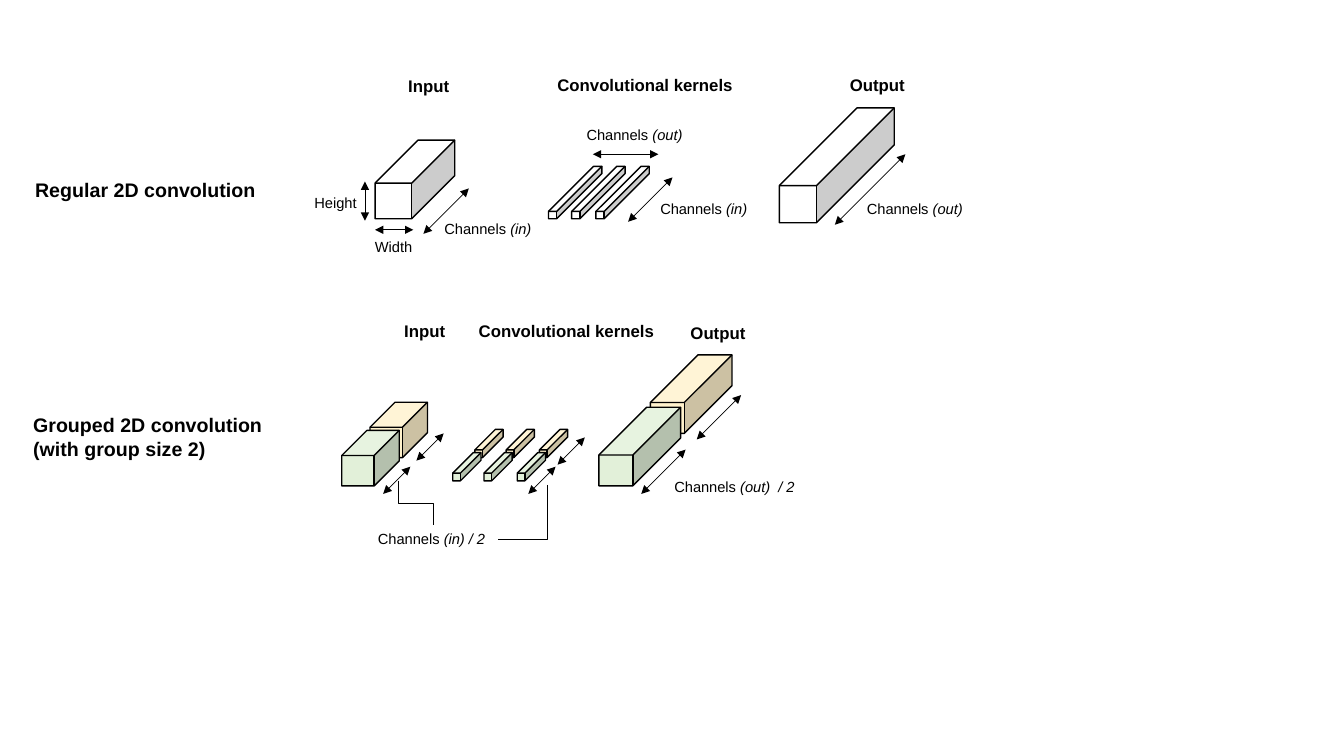
from pptx import Presentation
from pptx.dml.color import RGBColor
from pptx.enum.shapes import MSO_CONNECTOR as Connector, MSO_SHAPE as Shape
from pptx.enum.text import MSO_AUTO_SIZE as AutoSize
from pptx.oxml.ns import qn
from pptx.util import Inches, Pt
from lxml.etree import SubElement

WIDTH, HEIGHT = 13.33, 7.5
FONT = "Arial"
COLORS = {"ink": "000000", "plain": "FFFFFF", "back": "FFF2CC", "front": "E2F0D9"}

# Regular convolution: left, top, width, height, depth share
REGULAR_CUBES = [
    (3.72, 1.39, 0.79, 0.78, 0.547),
    *[(left, 1.65, 0.53, 0.52, 0.861) for left in (5.44, 5.67, 5.91)],
    (7.73, 1.07, 1.14, 1.14, 0.677),
]

# Grouped convolution: back cube as above, then the shift to its front cube
GROUPED_CUBES = [
    (3.67, 3.99, 0.57, 0.55, 0.452, -0.28, 0.28),
    *[(left, 4.26, 0.28, 0.28, 0.726, -0.22, 0.23) for left in (4.71, 5.02, 5.35)],
    (6.45, 3.52, 0.81, 0.78, 0.607, -0.51, 0.52),
]

# Width, height and channel-count arrows: start, end
STRAIGHT_ARROWS = [
    ((3.62, 1.80), (3.62, 2.19)),
    ((4.10, 2.28), (3.72, 2.28)),
    ((6.53, 1.53), (5.88, 1.53)),
]

# Depth arrows run down and left at 45 degrees: upper end, run
DEPTH_ARROWS = [
    (4.65, 1.87, 0.45), (6.67, 1.76, 0.44), (8.98, 1.53, 0.70),
    (4.07, 4.63, 0.27), (4.40, 4.30, 0.27),
    (5.51, 4.63, 0.27), (5.80, 4.34, 0.27),
    (6.80, 4.46, 0.44), (7.35, 3.92, 0.44),
]

# Leaders that set off downwards: start, end, preset
LEADERS = [
    ((3.95, 4.77), (4.30, 5.21), "bentConnector3"),
    ((5.43, 4.81), (4.94, 5.35), "bentConnector2"),
]

# Left, top, width, text
ROW_TITLES = [
    (0.25, 1.72, 2.40, "Regular 2D convolution"),
    (0.23, 4.05, 2.48, "Grouped 2D convolution\n(with group size 2)"),
]
COLUMN_TITLES = [
    (3.95, 0.70, 0.62, "Input"),
    (5.43, 0.69, 1.96, "Convolutional kernels"),
    (8.33, 0.69, 0.76, "Output"),
    (3.91, 3.13, 0.62, "Input"),
    (4.65, 3.13, 1.96, "Convolutional kernels"),
    (6.75, 3.15, 0.76, "Output"),
]
SIZE_LABELS = [
    (3.02, 1.87, 0.65, "Height"),
    (3.62, 2.31, 0.58, "Width"),
]
CHANNEL_LABELS = [
    (4.31, 2.13, 1.08, "(in)"),
    (6.45, 1.93, 1.08, "(in)"),
    (5.72, 1.20, 1.17, "(out)"),
    (8.50, 1.93, 1.17, "(out)"),
    (6.59, 4.69, 1.42, "(out)  / 2"),
    (3.65, 5.21, 1.29, "(in) / 2"),
]


def color(name):
    """Look up a named colour."""
    return RGBColor.from_string(COLORS[name])


def add_text(slide, left, top, width, text, size=10.5, bold=False, italic_tail=""):
    """Add a label, one paragraph a line, with an optional italic ending."""
    lines = text.split("\n")
    height = 0.1 + len(lines) * size / 60
    box = slide.shapes.add_textbox(*map(Inches, (left, top, width, height)))
    frame = box.text_frame
    frame.word_wrap = False
    frame.auto_size = AutoSize.SHAPE_TO_FIT_TEXT
    for index, line in enumerate(lines):
        paragraph = frame.add_paragraph() if index else frame.paragraphs[0]
        for words, italic in ((line, False), (italic_tail, True)):
            if words:
                run = paragraph.add_run()
                run.text = words
                run.font.name, run.font.size = FONT, Pt(size)
                run.font.bold, run.font.italic = bold, italic
                run.font.color.rgb = color("ink")


def add_cube(slide, left, top, width, height, depth, fill):
    """Add an outlined cube."""
    cube = slide.shapes.add_shape(Shape.CUBE, *map(Inches, (left, top, width, height)))
    cube.adjustments[0] = depth
    cube.shadow.inherit = False
    cube.fill.solid()
    cube.fill.fore_color.rgb = color(fill)
    cube.line.color.rgb = color("ink")
    cube.line.width = Pt(1)


def add_line(slide, start, end, kind=Connector.STRAIGHT):
    """Add a thin connector without a shadow."""
    line = slide.shapes.add_connector(kind, *map(Inches, (*start, *end)))
    line.line.color.rgb = color("ink")
    line.line.width = Pt(0.5)
    SubElement(line._element.spPr, qn("a:effectLst"))
    return line


def add_arrow(slide, start, end):
    """Add a straight line with a triangle at both ends."""
    outline = add_line(slide, start, end).line._get_or_add_ln()
    for tag in ("a:headEnd", "a:tailEnd"):
        SubElement(outline, qn(tag), type="triangle")


def add_leader(slide, start, end, preset):
    """Add an elbow that leaves downwards: a sideways elbow turned by 90 degrees."""
    middle_x, middle_y = (start[0] + end[0]) / 2, (start[1] + end[1]) / 2
    half_x, half_y = (end[0] - start[0]) / 2, (end[1] - start[1]) / 2
    leader = add_line(slide, (middle_x - half_y, middle_y + half_x),
                      (middle_x + half_y, middle_y - half_x), Connector.ELBOW)
    properties = leader._element.spPr
    properties.find(qn("a:xfrm")).set("rot", str(90 * 60000))
    properties.find(qn("a:prstGeom")).set("prst", preset)


presentation = Presentation()
presentation.slide_width, presentation.slide_height = Inches(WIDTH), Inches(HEIGHT)
slide = presentation.slides.add_slide(presentation.slide_layouts[6])

for cube in REGULAR_CUBES:
    add_cube(slide, *cube, fill="plain")
for left, top, width, height, depth, shift_x, shift_y in GROUPED_CUBES:
    add_cube(slide, left, top, width, height, depth, fill="back")
    add_cube(slide, left + shift_x, top + shift_y, width, height, depth, fill="front")

for start, end in STRAIGHT_ARROWS:
    add_arrow(slide, start, end)
for x, y, run in DEPTH_ARROWS:
    add_arrow(slide, (x, y), (x - run, y + run))
for leader in LEADERS:
    add_leader(slide, *leader)

for title in ROW_TITLES:
    add_text(slide, *title, size=14, bold=True)
for title in COLUMN_TITLES:
    add_text(slide, *title, size=12, bold=True)
for label in SIZE_LABELS:
    add_text(slide, *label)
for left, top, width, tail in CHANNEL_LABELS:
    add_text(slide, left, top, width, "Channels ", italic_tail=tail)

presentation.save("out.pptx")
